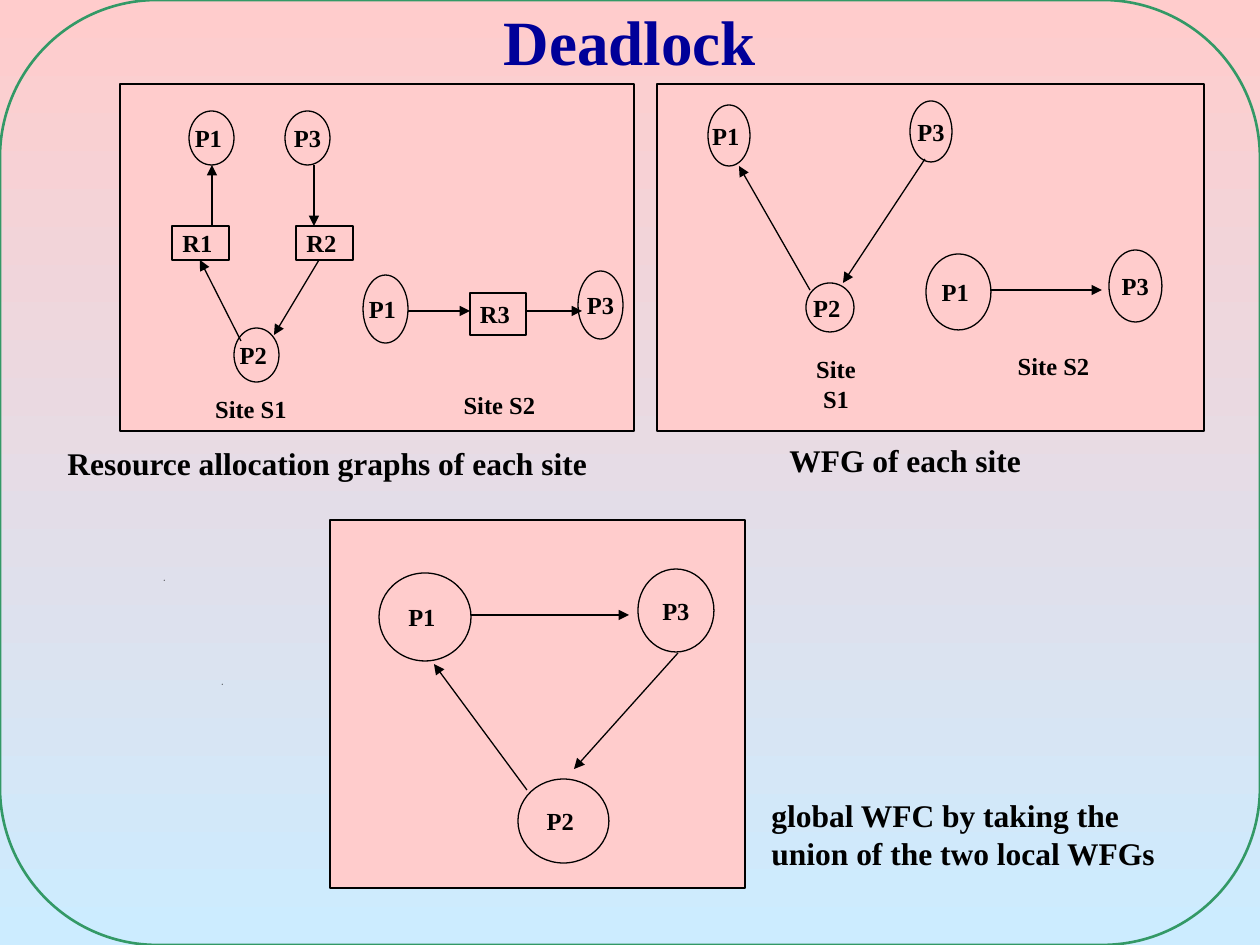
from dataclasses import dataclass
from lxml.etree import SubElement
from pptx import Presentation
from pptx.dml.color import RGBColor as Rgb
from pptx.enum.shapes import MSO_CONNECTOR as Link, MSO_SHAPE as Form
from pptx.enum.text import MSO_ANCHOR as Anchor, MSO_AUTO_SIZE as Auto, PP_ALIGN as Align
from pptx.oxml.ns import qn
from pptx.util import Emu, Pt

SCALE = 914400 / 126


def px(*nums):
    return [Emu(round(n * SCALE)) for n in nums]


def put(item, **vals):
    for name, val in vals.items():
        setattr(item, name, val)


@dataclass(frozen=True)
class Theme:
    font: str = "Times New Roman"
    ink: str = "000000"
    title: str = "000099"
    pink: str = "FFCCCC"
    sky: str = "CCECFF"
    green: str = "339966"
    small: int = 14
    mid: int = 18
    big: int = 36
    thin: float = 0.75
    thick: float = 1.5


class Board:
    def __init__(self, deck, theme):
        self.theme = theme
        self.slide = deck.slides.add_slide(deck.slide_layouts[6])
        self.home = self.slide.shapes

    def group(self):
        self.home = self.slide.shapes.add_group_shape().shapes

    def leave(self):
        self.home = self.slide.shapes

    def back(self):
        fill = self.slide.background.fill
        fill.gradient()
        fill.gradient_angle = 270
        for stop, tone in zip(fill.gradient_stops, (self.theme.pink, self.theme.sky)):
            stop.color.rgb = Rgb.from_string(tone)

    def stroke(self, line, tone, width):
        line.color.rgb = Rgb.from_string(tone)
        line.width = Pt(width)

    def paint(self, shape, tone):
        shape.fill.solid()
        shape.fill.fore_color.rgb = Rgb.from_string(tone)
        shape.shadow.inherit = False

    def frame(self, box):
        shape = self.home.add_shape(Form.ROUNDED_RECTANGLE, *px(*box))
        shape.shadow.inherit = False
        shape.fill.background()
        self.stroke(shape.line, self.theme.green, self.theme.thick)

    def speck(self, x, y):
        pen = self.home.build_freeform(x, y, scale=SCALE)
        pen.add_line_segments([(x + 1, y), (x, y + 1)])
        shape = pen.convert_to_shape()
        self.paint(shape, self.theme.ink)
        shape.line.fill.background()

    def panel(self, box, form=Form.RECTANGLE):
        shape = self.home.add_shape(form, *px(*box))
        self.paint(shape, self.theme.pink)
        self.stroke(shape.line, self.theme.ink, self.theme.thin)
        return shape

    def letter(self, shape, text, size, tone=None, align=Align.CENTER, **form):
        put(shape.text_frame, **form)
        para = shape.text_frame.paragraphs[0]
        para.alignment = align
        run = para.add_run()
        run.text = text
        put(run.font, name=self.theme.font, size=Pt(size), bold=True)
        run.font.color.rgb = Rgb.from_string(tone or self.theme.ink)

    def node(self, text, *box):
        # Processes are ovals, resources are boxes
        form = Form.OVAL if text.startswith("P") else Form.RECTANGLE
        self.letter(self.panel(box, form), text, self.theme.small,
                    vertical_anchor=Anchor.MIDDLE, word_wrap=False)

    def label(self, text, box, size, **form):
        shape = self.home.add_textbox(*px(*box))
        self.letter(shape, text, size, **{"word_wrap": True, **form})

    def arrow(self, *ends):
        link = self.home.add_connector(Link.STRAIGHT, *px(*ends))
        self.stroke(link.line, self.theme.ink, self.theme.thin)
        props = link._element.spPr
        SubElement(props.find(qn("a:ln")), qn("a:tailEnd"), type="triangle")
        SubElement(props, qn("a:effectLst"))


PANELS = [(330, 520, 415, 368), (657, 84, 547, 347), (120, 84, 514, 347)]

# Each graph: nodes, arrows, site label
GRAPHS = [
    ([("P1 ", 189, 111, 45, 54), ("P3", 285, 111, 45, 54), ("P2 ", 234, 328, 45, 54),
      ("R1 ", 172, 226, 57, 34), ("R2 ", 296, 226, 57, 34)],
     [(212, 226, 212, 165), (314, 165, 314, 226),
      (241, 341, 200, 260), (319, 260, 274, 335)],
     ("Site S1", (200, 388, 102, 42))),
    ([("P1 ", 363, 275, 45, 68), ("P3", 578, 271, 45, 68), ("R3 ", 470, 293, 56, 42)],
     [(408, 311, 470, 311), (526, 311, 582, 311)],
     ("Site S2", (449, 384, 101, 42))),
    ([("P2 ", 806, 283, 48, 49), ("P1 ", 708, 105, 42, 61), ("P3", 910, 101, 42, 61)],
     [(925, 159, 843, 283), (810, 290, 739, 166)],
     ("Site S1", (789, 348, 94, 72))),
    ([("P1 ", 926, 254, 65, 76), ("P3", 1109, 250, 53, 72)],
     [(991, 290, 1102, 290)],
     ("Site S2", (961, 345, 185, 42))),
    ([("P2 ", 518, 779, 91, 84), ("P1 ", 379, 573, 92, 88), ("P3", 638, 569, 76, 83)],
     [(471, 615, 629, 615), (678, 653, 574, 769), (527, 790, 434, 664)],
     None),
]

NOTES = [
    ("Resource allocation graphs of each site", (55, 438, 595, 50)),
    ("WFG of each site", (777, 435, 263, 50)),
    ("global WFC by taking the union of the two local WFGs", (759, 790, 445, 88)),
]


def main():
    deck = Presentation()
    wide, high = px(1260, 945)
    put(deck, slide_width=wide, slide_height=high)
    theme = Theme()
    board = Board(deck, theme)

    # Backdrop
    board.back()
    board.speck(222, 684)
    board.speck(164, 580)
    board.frame((0, 0, 1260, 945))

    # Panels and title
    for box in PANELS:
        board.panel(box)
    board.label("Deadlock", (0, 0, 1260, 84), theme.big, tone=theme.title,
                vertical_anchor=Anchor.BOTTOM)

    # Graphs
    for nodes, links, site in GRAPHS:
        board.group()
        for node in nodes:
            board.node(*node)
        for ends in links:
            board.arrow(*ends)
        if site:
            board.label(*site, theme.small, auto_size=Auto.SHAPE_TO_FIT_TEXT)

    # Captions
    board.leave()
    for text, box in NOTES:
        board.label(text, box, theme.mid, align=Align.LEFT,
                    auto_size=Auto.SHAPE_TO_FIT_TEXT)

    deck.save("out.pptx")


if __name__ == "__main__":
    main()
